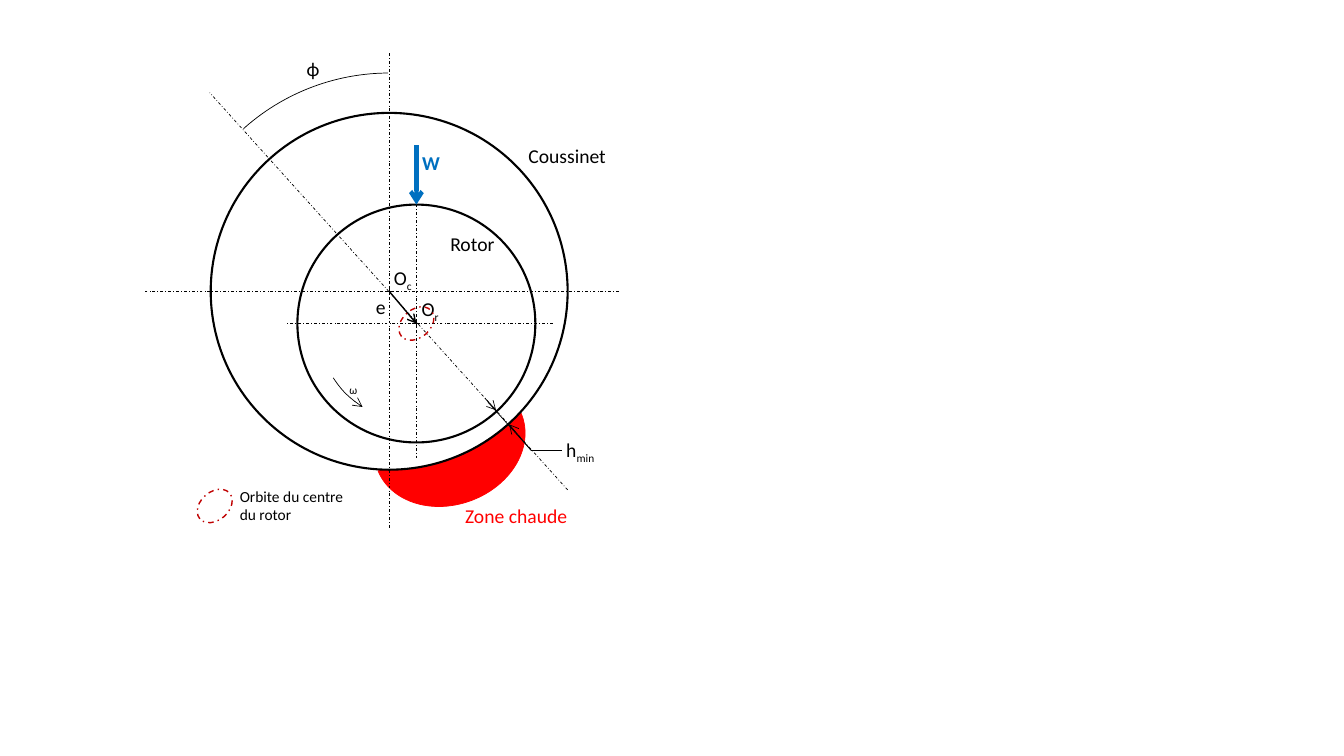
"""Draw a journal bearing with its rotor orbit and hot zone."""
from pptx import Presentation
from pptx.dml.color import RGBColor
from pptx.enum.dml import MSO_LINE
from pptx.enum.shapes import MSO_CONNECTOR, MSO_SHAPE
from pptx.enum.text import PP_ALIGN
from pptx.oxml.ns import qn
from pptx.util import Inches, Pt

ARC, ELLIPSE = MSO_SHAPE.ARC, MSO_SHAPE.OVAL
STRAIGHT, DASH_DOT = MSO_CONNECTOR.STRAIGHT, MSO_LINE.DASH_DOT
LEFT, CENTER = PP_ALIGN.LEFT, PP_ALIGN.CENTER

THEME = {
    "font": "Calibri", "label": 14, "legend": 11,
    "ink": "000000", "paper": "FFFFFF", "hot": "FF0000", "load": "0070C0", "orbit": "C00000",
    "thin": 0.5, "mark": 0.75, "vector": 1, "outline": 1.5, "force": 3,
}

BUSHING_CENTER, BUSHING_RADIUS = (3.86, 2.89), 1.77
ROTOR_CENTER, ROTOR_RADIUS = (4.13, 3.21), 1.18
PHI_RADIUS, OMEGA_RADIUS = 2.165, 0.985
HOT_CENTER, HOT_SIZE = (4.46, 4.39), (1.23, 1.53)
LEGEND_CENTER, ORBIT_SIZE, ORBIT_TURN = (2.13, 5.02), (0.39, 0.28), 319
MARK_REACH = 0.04
HMIN_ELBOW = (5.27, 4.47)

AXES = [
    ((6.14, 2.89), (1.42, 2.89)),
    ((3.86, 0.53), (3.86, 5.25)),
    ((5.48, 3.21), (2.83, 3.21)),
    ((4.13, 1.87), (4.13, 4.55)),
    ((5.63, 4.86), (2.08, 0.92)),
]
HMIN_LINES = [
    (HMIN_ELBOW, (5.05, 4.21), True),
    ((4.81, 3.95), (4.92, 4.07), True),
    (HMIN_ELBOW, (4.84, 3.99), False),
    (HMIN_ELBOW, (5.57, 4.47), False),
]
LABELS = [
    ("e", "", (3.5, 2.88, 0.55, 0.34), "ink"),
    ("O", "c", (3.72, 2.59, 0.55, 0.34), "ink"),
    ("O", "r", (3.99, 2.9, 0.55, 0.34), "ink"),
    ("ϕ", "", (2.83, 0.52, 0.55, 0.34), "ink"),
    ("h", "min", (5.48, 4.3, 0.55, 0.34), "ink"),
    ("W", "", (4, 1.45, 0.55, 0.34), "load"),
    ("Zone chaude", "", (4.47, 4.95, 1.3, 0.34), "hot"),
    ("", "ω", (3.23, 3.62, 0.55, 0.26), "ink"),
    ("Coussinet", "", (4.68, 1.38, 1.89, 0.34), "ink"),
    ("Rotor", "", (3.74, 2.25, 1.89, 0.34), "ink"),
]
LEGEND = ("Orbite du centre du rotor", "", (2.28, 4.78, 1.34, 0.47), "ink")

deck = Presentation()
deck.slide_width, deck.slide_height = Inches(13.33), Inches(7.5)
shapes = deck.slides.add_slide(deck.slide_layouts[6]).shapes


def color(role):
    return RGBColor.from_string(THEME[role])


def stroke(item, role, weight, dashed=False, arrow_end=None):
    item.line.color.rgb = color(role)
    item.line.width = Pt(THEME[weight])
    if dashed:
        item.line.dash_style = DASH_DOT
    if arrow_end:
        outline = item.line.color and item._element.spPr.find(qn("a:ln"))
        outline.append(outline.makeelement(qn(arrow_end), {"type": "arrow"}))


def add_round(kind, center, size, role, weight, fill=None, turn=0, angles=(), **ends):
    (x, y), (width, height) = center, size
    item = shapes.add_shape(kind, Inches(x - width / 2), Inches(y - height / 2),
                            Inches(width), Inches(height))
    item.shadow.inherit = False
    item.rotation = turn
    for index, degrees in enumerate(angles):
        item.adjustments[index] = degrees * 0.6
    if fill:
        item.fill.solid()
        item.fill.fore_color.rgb = color(fill)
    else:
        item.fill.background()
    stroke(item, role, weight, **ends)


def add_circle(kind, center, radius, weight, **options):
    add_round(kind, center, (2 * radius, 2 * radius), "ink", weight, **options)


def add_line(start, end, weight, role="ink", dashed=False, arrow=False):
    item = shapes.add_connector(STRAIGHT, *map(Inches, start + end))
    stroke(item, role, weight, dashed, "a:tailEnd" if arrow else None)
    properties = item._element.spPr
    properties.append(properties.makeelement(qn("a:effectLst"), {}))


def add_label(base, subscript, box, role, size="label", align=CENTER):
    frame = shapes.add_textbox(*map(Inches, box)).text_frame
    frame.word_wrap = True
    paragraph = frame.paragraphs[0]
    paragraph.alignment = align
    paragraph.font.name = THEME["font"]
    paragraph.font.size = Pt(THEME[size])
    paragraph.font.bold = role == "load"
    paragraph.font.color.rgb = color(role)
    if base:
        paragraph.add_run().text = base
    if subscript:
        lowered = paragraph.add_run()
        lowered.text = subscript
        lowered._r.get_or_add_rPr().set("baseline", "-25000")


add_round(ARC, HOT_CENTER, HOT_SIZE, "hot", "thin", fill="hot", turn=69.3, angles=(268.2, 89.3))
add_circle(ELLIPSE, BUSHING_CENTER, BUSHING_RADIUS, "outline", fill="paper")
add_circle(ELLIPSE, ROTOR_CENTER, ROTOR_RADIUS, "outline")
for start, end in AXES:
    add_line(start, end, "thin", dashed=True)
for x, y in (BUSHING_CENTER, ROTOR_CENTER):
    add_line((x, y - MARK_REACH), (x, y + MARK_REACH), "mark")
    add_line((x + MARK_REACH, y), (x - MARK_REACH, y), "mark")
add_line(BUSHING_CENTER, ROTOR_CENTER, "vector", arrow=True)
add_circle(ARC, BUSHING_CENTER, PHI_RADIUS, "thin", angles=(228.18, 269.7))
add_circle(ARC, ROTOR_CENTER, OMEGA_RADIUS, "thin", turn=180, angles=(302.87, 326.84),
           arrow_end="a:headEnd")
for label in LABELS:
    add_label(*label)
add_label(*LEGEND, size="legend", align=LEFT)
for center in (ROTOR_CENTER, LEGEND_CENTER):
    add_round(ELLIPSE, center, ORBIT_SIZE, "orbit", "vector", turn=ORBIT_TURN, dashed=True)
add_line((4.13, 1.44), (4.13, 2.03), "force", role="load", arrow=True)
for start, end, arrow in HMIN_LINES:
    add_line(start, end, "thin", arrow=arrow)

deck.save("out.pptx")
